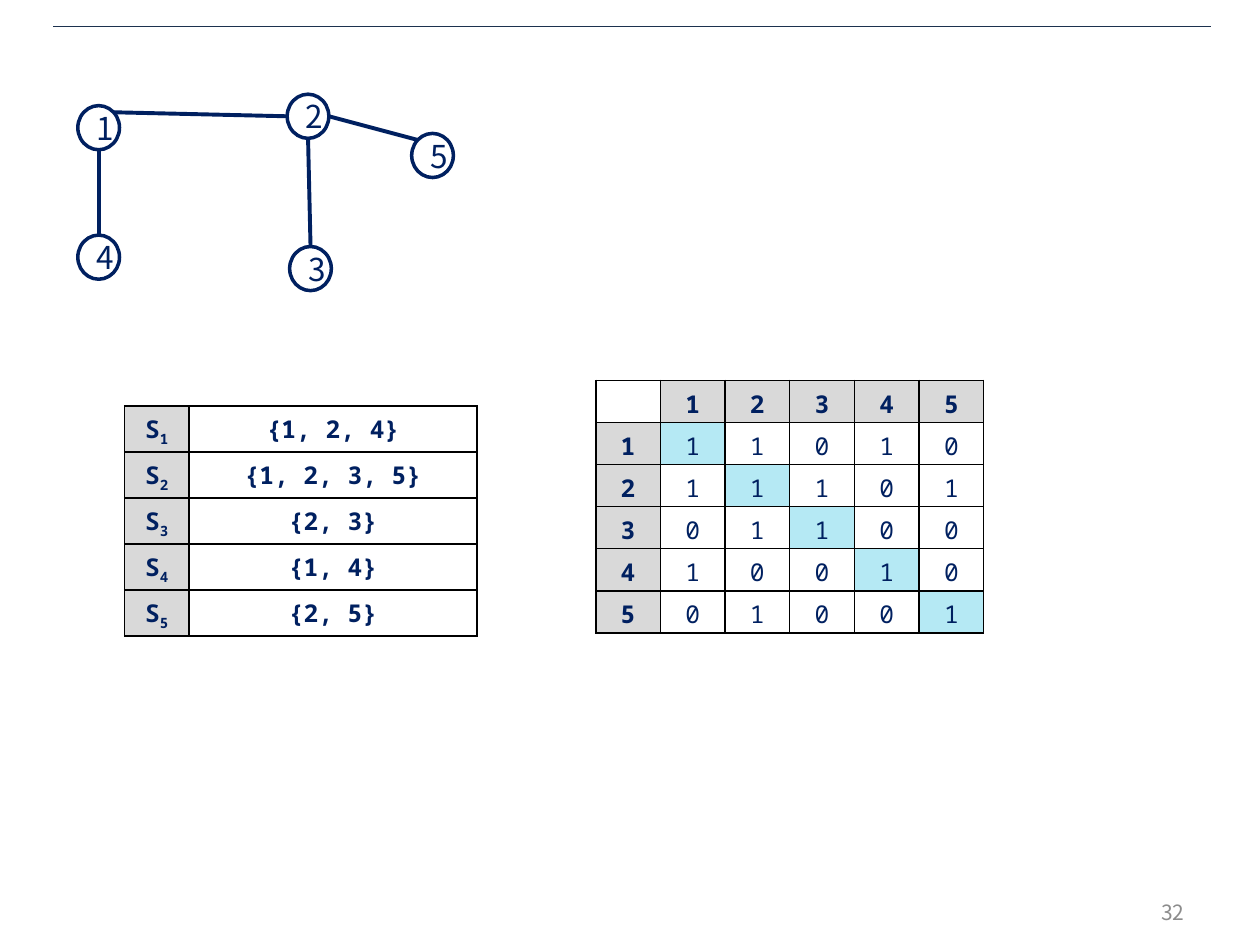
import pptx
import pptx.dml.color
import pptx.enum.shapes
import pptx.enum.text
import pptx.oxml
import pptx.oxml.ns
import pptx.util
from pptx.util import Cm

COLORS = {
    "navy": "002060",
    "rule": "1C314E",
    "border": "000000",
    "header": "D9D9D9",
    "diagonal": "B5E9F4",
    "page_number": "8C8C8C",
}
BODY_FONT = "Noto Sans CJK KR"
TABLE_FONT = "Noto Sans Mono"

NEIGHBOURHOODS = {1: [1, 2, 4], 2: [1, 2, 3, 5], 3: [2, 3], 4: [1, 4], 5: [2, 5]}

NODE_WIDTH, NODE_HEIGHT = 0.84, 0.89
NODE_OFFSETS = {
    1: (0, 0.23),
    4: (0, 2.84),
    2: (4.22, 0),
    3: (4.27, 3.07),
    5: (6.73, 0.79),
}
# Points on a node's outline, as fractions of its width and height
SITES = {
    "top": (0.5, 0),
    "bottom": (0.5, 1),
    "left": (0, 0.5),
    "right": (1, 0.5),
    "top left": (0.15, 0.15),
    "top right": (0.85, 0.15),
}
EDGES = [
    (1, "top right", 2, "left"),
    (3, "top", 2, "bottom"),
    (1, "bottom", 4, "top"),
    (2, "right", 5, "top left"),
]
HEADER_WIDTH = 1.3
ROW_HEIGHT = 0.71


def rgb(name):
    return pptx.dml.color.RGBColor.from_string(COLORS[name])


def format_paragraph(paragraph, font_name, size, color, bold=False,
                     align=pptx.enum.text.PP_ALIGN.CENTER):
    paragraph.alignment = align
    font = paragraph.font
    font.name, font.size, font.bold = font_name, pptx.util.Pt(size), bold
    font.color.rgb = rgb(color)


def add_line(slide, start, end, color, width):
    line = slide.shapes.add_connector(
        pptx.enum.shapes.MSO_CONNECTOR.STRAIGHT,
        *(Cm(length) for length in (*start, *end)))
    line.line.color.rgb = rgb(color)
    line.line.width = pptx.util.Pt(width)
    properties = line._element.spPr
    properties.append(pptx.oxml.parse_xml(
        f'<a:effectLst {pptx.oxml.ns.nsdecls("a")}/>'))


def add_page_number(slide, left, top, width, height, number):
    box = slide.shapes.add_textbox(Cm(left), Cm(top), Cm(width), Cm(height))
    frame = box.text_frame
    frame.word_wrap = True
    frame.vertical_anchor = pptx.enum.text.MSO_ANCHOR.MIDDLE
    frame.text = str(number)
    format_paragraph(frame.paragraphs[0], BODY_FONT, 12, "page_number",
                     align=pptx.enum.text.PP_ALIGN.RIGHT)


def add_graph(slide, left, top):
    for number, (x, y) in NODE_OFFSETS.items():
        node = slide.shapes.add_shape(
            pptx.enum.shapes.MSO_SHAPE.OVAL, Cm(left + x), Cm(top + y),
            Cm(NODE_WIDTH), Cm(NODE_HEIGHT))
        node.shadow.inherit = False
        node.fill.background()
        node.line.color.rgb = rgb("navy")
        node.line.width = pptx.util.Pt(2)
        node.text_frame.vertical_anchor = pptx.enum.text.MSO_ANCHOR.MIDDLE
        node.text_frame.text = str(number)
        format_paragraph(node.text_frame.paragraphs[0], BODY_FONT, 18, "navy")

    def site_position(number, site):
        x, y = NODE_OFFSETS[number]
        across, down = SITES[site]
        return left + x + across * NODE_WIDTH, top + y + down * NODE_HEIGHT

    for first, first_site, second, second_site in EDGES:
        add_line(slide, site_position(first, first_site),
                 site_position(second, second_site), "navy", 2.25)


def add_bordered_table(slide, left, top, width, height, rows, columns):
    """Add a plain table with a narrow first column and return it."""
    frame = slide.shapes.add_table(rows, columns, Cm(left), Cm(top),
                                   Cm(width), Cm(height))
    table = frame.table
    table.first_row = table.horz_banding = False
    for row in table.rows:
        row.height = Cm(ROW_HEIGHT)
    frame.height = Cm(height)
    table.columns[0].width = Cm(HEADER_WIDTH)
    for column in list(table.columns)[1:]:
        column.width = Cm((width - HEADER_WIDTH) / (columns - 1))
    for cell in table.iter_cells():
        properties = cell._tc.get_or_add_tcPr()
        for side in "LRTB":
            properties.append(pptx.oxml.parse_xml(
                f'<a:ln{side} {pptx.oxml.ns.nsdecls("a")} w="12700">'
                f'<a:solidFill><a:srgbClr val="{COLORS["border"]}"/>'
                f'</a:solidFill></a:ln{side}>'))
        cell.fill.background()
    return table


def fill_cell(cell, text, subscript="", bold=True, fill=None):
    cell.vertical_anchor = pptx.enum.text.MSO_ANCHOR.MIDDLE
    paragraph = cell.text_frame.paragraphs[0]
    format_paragraph(paragraph, TABLE_FONT, 14, "navy", bold)
    paragraph.add_run().text = text
    if subscript:
        run = paragraph.add_run()
        run.text = subscript
        run.font._element.set("baseline", "-25000")
    if fill:
        cell.fill.solid()
        cell.fill.fore_color.rgb = rgb(fill)


def add_set_table(slide, left, top, width, height):
    table = add_bordered_table(slide, left, top, width, height,
                               len(NEIGHBOURHOODS), 2)
    for row, (node, members) in enumerate(NEIGHBOURHOODS.items()):
        fill_cell(table.cell(row, 0), "S", str(node), fill="header")
        fill_cell(table.cell(row, 1), "{" + ", ".join(map(str, members)) + "}")


def add_adjacency_matrix(slide, left, top, width, height):
    size = len(NEIGHBOURHOODS) + 1
    table = add_bordered_table(slide, left, top, width, height, size, size)
    corner = table.cell(0, 0)
    corner.margin_top = corner.margin_bottom = 0
    for node, members in NEIGHBOURHOODS.items():
        for header in (table.cell(0, node), table.cell(node, 0)):
            fill_cell(header, str(node), fill="header")
        for other in NEIGHBOURHOODS:
            fill_cell(table.cell(node, other), str(int(other in members)),
                      bold=False, fill="diagonal" if node == other else None)


def main():
    presentation = pptx.Presentation()
    presentation.slide_width, presentation.slide_height = Cm(25.4), Cm(19.05)
    slide = presentation.slides.add_slide(presentation.slide_layouts[6])
    add_line(slide, (1.07, 0.53), (24.41, 0.53), "rule", 0.25)
    add_page_number(slide, 18.21, 17.88, 5.92, 1.02, 32)
    add_set_table(slide, 2.51, 8.18, 7.11, 4.24)
    add_adjacency_matrix(slide, 12.01, 7.67, 7.82, 5.08)
    add_graph(slide, 1.57, 1.9)
    presentation.save("out.pptx")


if __name__ == "__main__":
    main()
